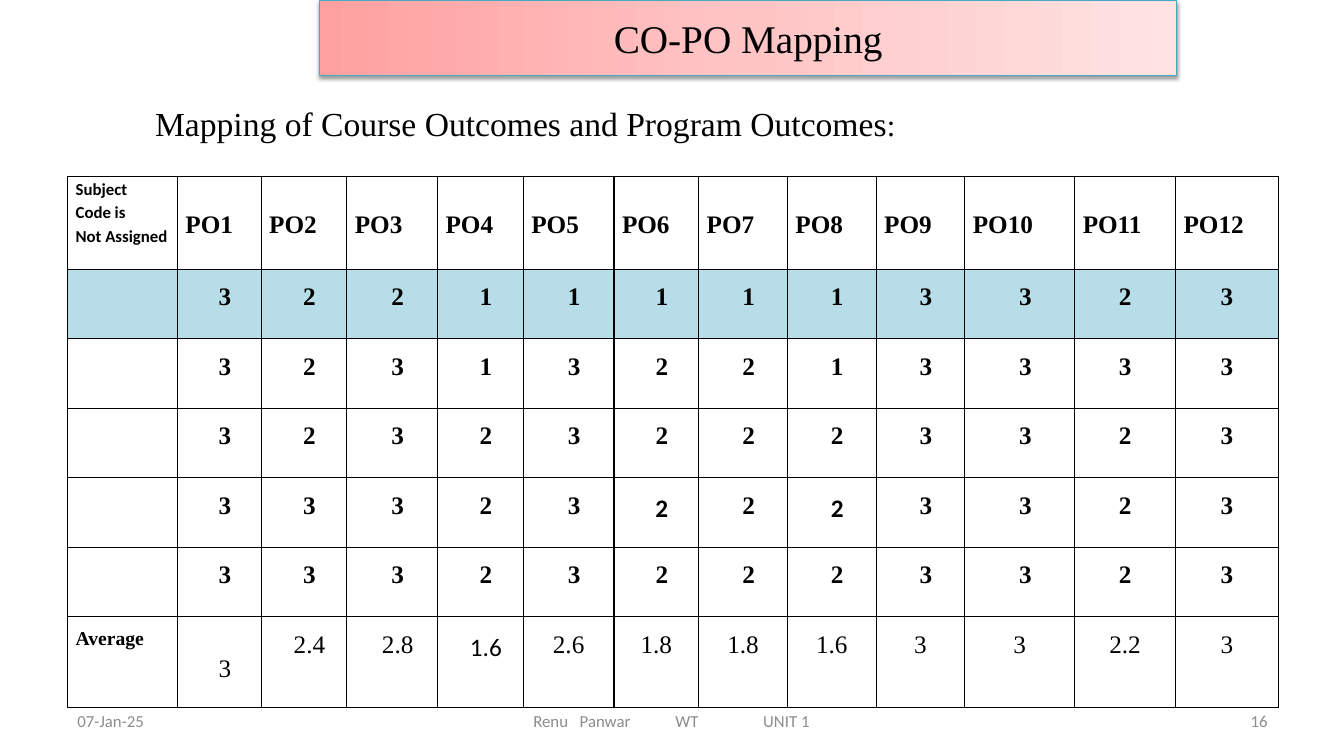
from lxml import etree
from pptx import Presentation
from pptx.dml.color import RGBColor
from pptx.enum.text import MSO_ANCHOR, MSO_AUTO_SIZE, PP_ALIGN
from pptx.oxml import parse_xml
from pptx.oxml.ns import qn
from pptx.util import Inches, Pt

LEFT, CENTER, RIGHT, JUSTIFY = PP_ALIGN.LEFT, PP_ALIGN.CENTER, PP_ALIGN.RIGHT, PP_ALIGN.JUSTIFY
TOP, MIDDLE = MSO_ANCHOR.TOP, MSO_ANCHOR.MIDDLE
NO_AUTOFIT = MSO_AUTO_SIZE.NONE
DRAWING = "http://schemas.openxmlformats.org/drawingml/2006/main"
SERIF, SANS = "Times New Roman", "Calibri"
BLACK, GREY, HIGHLIGHT = "000000", "8C8C8C", "B7DEE8"

COLUMN_WIDTHS = [1.09, 0.83, 0.85, 0.9, 0.85, 0.9, 0.84, 0.88, 0.88, 0.88, 1.09, 1, 1.02]
ROW_HEIGHTS = [0.92] + [0.69] * 5 + [0.9]
OUTCOME_LEVELS = ["322111113323", "323132213333", "323232223323", "333232223323", "333232223323"]
AVERAGES = ["3", "2.4", "2.8", "1.6", "2.6", "1.8", "1.8", "1.6", "3", "3", "2.2", "3"]
SANS_CELLS = {(4, 6), (4, 8), (6, 4)}


def color(hex_value):
    return RGBColor.from_string(hex_value)


def add_run(paragraph, text, size, font=SERIF, hex_value=BLACK, bold=False):
    run = paragraph.add_run()
    run.text = text
    run.font.size = Pt(size)
    run.font.name = font
    run.font.bold = bold
    run.font.color.rgb = color(hex_value)


def place(shape, left, top, width, height):
    shape.left, shape.top = Inches(left), Inches(top)
    shape.width, shape.height = Inches(width), Inches(height)


def add_title(slide, text):
    title = slide.shapes.title
    place(title, 3.17, 0, 8.5, 0.75)
    title.line.color.rgb = color("46AAC5")
    title.line.width = Pt(0.75)
    properties = title._element.spPr
    stops = "".join(
        f'<a:gs pos="{position}"><a:srgbClr val="{value}"/></a:gs>'
        for position, value in ((0, "FFA0A0"), (50000, "FFC5C5"), (100000, "FFE3E3"))
    )
    properties.find(qn("a:ln")).addprevious(parse_xml(
        f'<a:gradFill xmlns:a="{DRAWING}" rotWithShape="1"><a:gsLst>{stops}</a:gsLst>'
        '<a:lin ang="0" scaled="1"/></a:gradFill>'
    ))
    properties.append(parse_xml(
        f'<a:effectLst xmlns:a="{DRAWING}"><a:outerShdw blurRad="{Pt(3.1)}" dist="{Pt(1.6)}" '
        f'dir="5400000" rotWithShape="0"><a:srgbClr val="{BLACK}"><a:alpha val="38000"/>'
        '</a:srgbClr></a:outerShdw></a:effectLst>'
    ))
    frame = title.text_frame
    frame.word_wrap = True
    frame.auto_size = NO_AUTOFIT
    frame.vertical_anchor = MIDDLE
    frame.paragraphs[0].alignment = CENTER
    add_run(frame.paragraphs[0], text, 28)


def add_text_box(slide, box, alignment, anchor):
    shape = slide.shapes.add_textbox(*(Inches(length) for length in box))
    frame = shape.text_frame
    frame.word_wrap = True
    frame.vertical_anchor = anchor
    frame.paragraphs[0].alignment = alignment
    return frame


def add_subtitle(slide):
    frame = add_text_box(slide, (1.19, 0.86, 8.04, 0.89), CENTER, TOP)
    frame.margin_top = frame.margin_bottom = Inches(0.1)
    paragraph = frame.paragraphs[0]
    paragraph.line_spacing = 1.15
    add_run(paragraph, "Mapping of Course Outcomes and Program Outcomes", 24)
    add_run(paragraph, ":", 22)


def add_footer(slide, text, left, width, alignment, margin=0.1, tabs=()):
    frame = add_text_box(slide, (left, 6.95, width, 0.4), alignment, MIDDLE)
    frame.margin_left = Inches(margin)
    paragraph = frame.paragraphs[0]
    if tabs:
        tab_list = etree.SubElement(paragraph._p.get_or_add_pPr(), qn("a:tabLst"))
        for position in tabs:
            etree.SubElement(tab_list, qn("a:tab"), pos=str(Inches(position)), algn="l")
    add_run(paragraph, text, 12, SANS, GREY)


def format_cell(cell, fill=None):
    cell.margin_left = cell.margin_right = Inches(0.08)
    cell.margin_top = cell.margin_bottom = 0
    properties = cell._tc.get_or_add_tcPr()
    for side in ("lnL", "lnR", "lnT", "lnB"):
        properties.append(parse_xml(
            f'<a:{side} xmlns:a="{DRAWING}" w="{Pt(1)}"><a:solidFill>'
            f'<a:srgbClr val="{BLACK}"/></a:solidFill></a:{side}>'
        ))
    if fill:
        cell.fill.solid()
        cell.fill.fore_color.rgb = color(fill)
    else:
        cell.fill.background()


def write_cell(cell, lines, size, alignment, spacing, font=SERIF, bold=True, indent=0):
    frame = cell.text_frame
    for index, line in enumerate(lines):
        paragraph = frame.add_paragraph() if index else frame.paragraphs[0]
        paragraph.alignment = alignment
        paragraph.line_spacing = spacing
        if indent:
            paragraph._p.get_or_add_pPr().set("marL", str(Inches(indent)))
        add_run(paragraph, line, size, font, bold=bold)


def add_mapping_table(slide):
    row_count, column_count = len(ROW_HEIGHTS), len(COLUMN_WIDTHS)
    table = slide.shapes.add_table(
        row_count, column_count, Inches(0.67), Inches(1.75), Inches(12), Inches(5.27)
    ).table
    table.first_row = table.horz_banding = False
    for column, width in zip(table.columns, COLUMN_WIDTHS):
        column.width = Inches(width)
    for row_index, (row, height) in enumerate(zip(table.rows, ROW_HEIGHTS)):
        row.height = Inches(height)
        for cell in row.cells:
            format_cell(cell, HIGHLIGHT if row_index == 1 else None)

    average_row = row_count - 1
    write_cell(table.cell(0, 0), ["Subject", "Code is ", "Not Assigned"], 12, JUSTIFY, 1.15, SANS)
    write_cell(table.cell(average_row, 0), ["Average"], 14, JUSTIFY, 1.5)
    for column_index in range(1, column_count):
        header = table.cell(0, column_index)
        header.vertical_anchor = MIDDLE
        write_cell(header, [f"PO{column_index}"], 18, JUSTIFY, 1.15)
    for row_index, values in enumerate(OUTCOME_LEVELS + [AVERAGES], start=1):
        is_average = row_index == average_row
        last_indented = 4 if is_average else 10
        for column_index, value in enumerate(values, start=1):
            write_cell(
                table.cell(row_index, column_index), [value], 18, CENTER, 1.5,
                font=SANS if (row_index, column_index) in SANS_CELLS else SERIF,
                bold=not is_average,
                indent=0.11 if column_index <= last_indented else 0,
            )
    table.cell(average_row, 1).vertical_anchor = MIDDLE


def main():
    presentation = Presentation()
    presentation.slide_width, presentation.slide_height = Inches(13.33), Inches(7.5)
    slide = presentation.slides.add_slide(presentation.slide_layouts[5])
    add_title(slide, "CO-PO Mapping")
    add_footer(slide, "07-Jan-25", 0.67, 3.11, LEFT)
    add_footer(slide, "Renu\tPanwar\tWT\tUNIT 1", 4.56, 4.22, LEFT, 0.73, (0.46, 1.41, 2.28))
    add_footer(slide, "16", 9.56, 3.11, RIGHT)
    add_subtitle(slide)
    add_mapping_table(slide)
    presentation.save("out.pptx")


if __name__ == "__main__":
    main()
